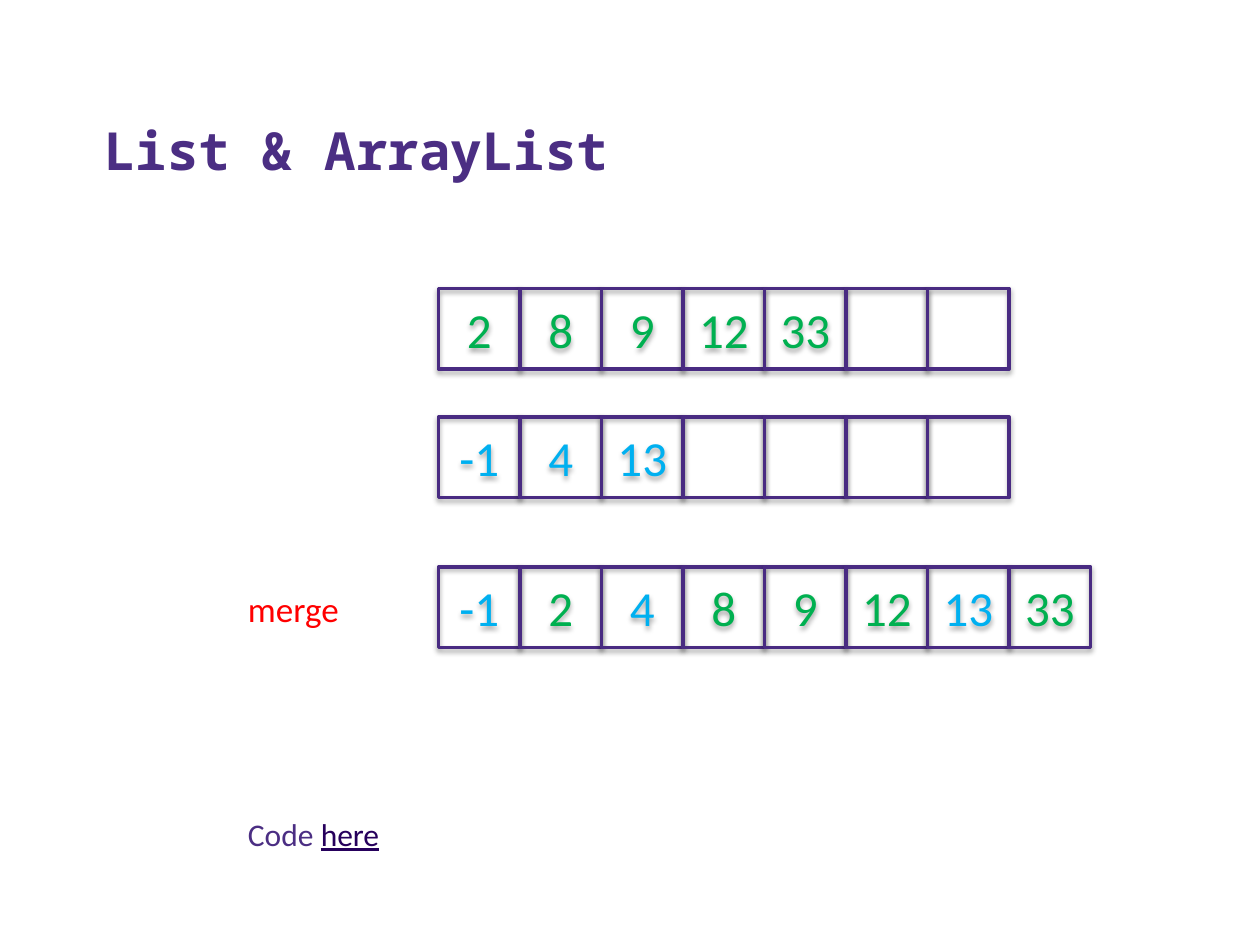
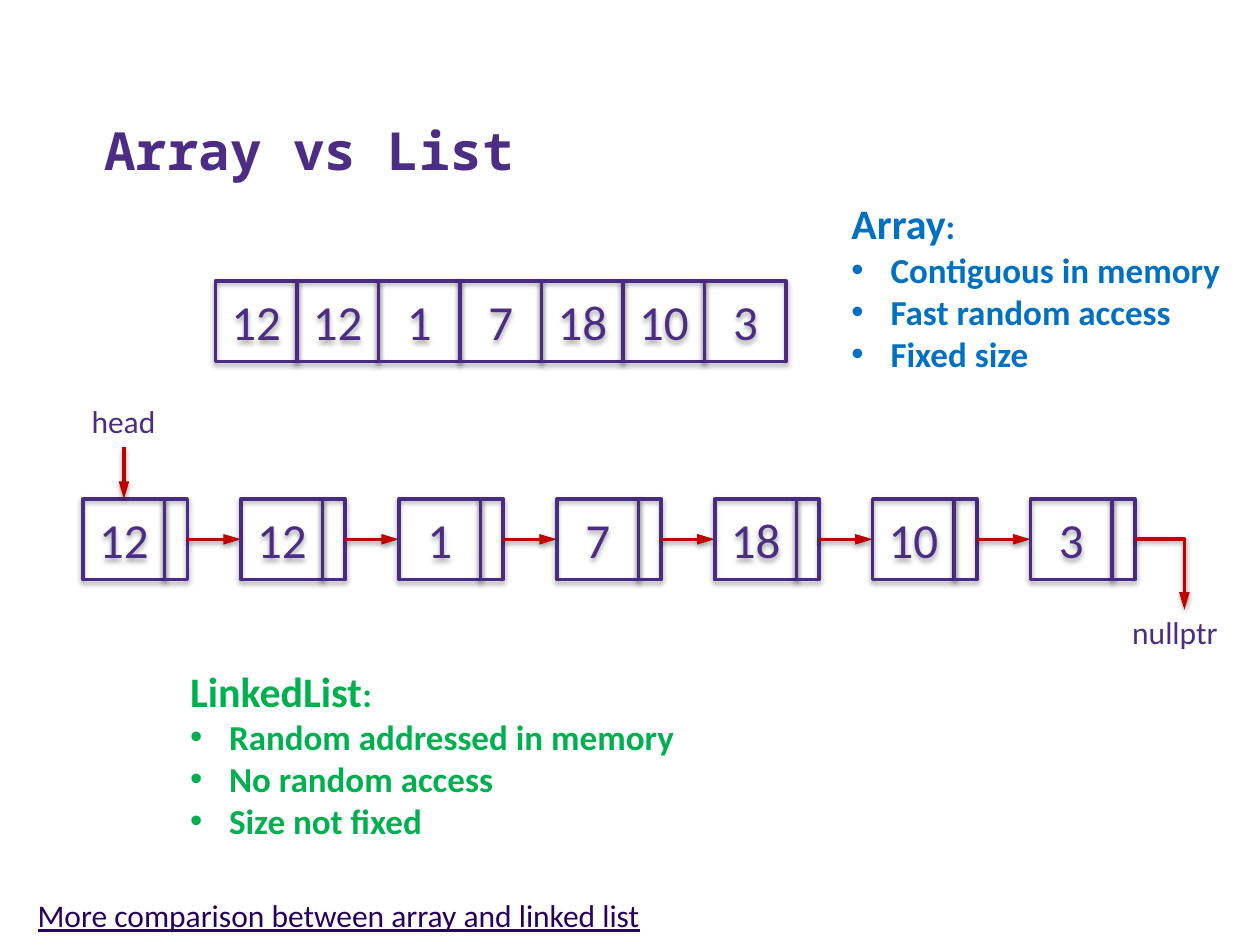
from lxml import etree
from pptx import Presentation
from pptx.dml.color import RGBColor
from pptx.enum.shapes import MSO_CONNECTOR, MSO_SHAPE
from pptx.enum.text import MSO_ANCHOR, PP_ALIGN
from pptx.oxml.ns import qn
from pptx.util import Inches, Pt

RECTANGLE = MSO_SHAPE.RECTANGLE
STRAIGHT, ELBOW = MSO_CONNECTOR.STRAIGHT, MSO_CONNECTOR.ELBOW
LEFT, CENTER = PP_ALIGN.LEFT, PP_ALIGN.CENTER
TOP, MIDDLE, BOTTOM = MSO_ANCHOR.TOP, MSO_ANCHOR.MIDDLE, MSO_ANCHOR.BOTTOM

BODY_FONT, TITLE_FONT = "Calibri", "Noto Sans Mono"
PURPLE, OUTLINE, LINK = "4B2E83", "492B82", "26005C"
GREEN, SKY, BLUE = "00B050", "00B0F0", "0070C0"
RED, ARROW = "FF0000", "C00000"

# Slide 1: two sorted lists and their merge
FIRST_LIST = [2, 8, 9, 12, 33]
SECOND_LIST = [-1, 4, 13]
CAPACITY = 7
LISTS_LEFT = 3.48
FIRST_TOP, SECOND_TOP, MERGED_TOP = 2.29, 3.31, 4.5

# Slide 2: the same values as an array and as a linked list
VALUES = [12, 12, 1, 7, 18, 10, 3]
ARRAY_LEFT, ARRAY_TOP = 1.71, 2.23
NODES_LEFT, NODES_TOP = 0.66, 3.96
NOTES = [
    ("Array", BLUE, (6.66, 1.52, 3.16, 1.51),
     ["Contiguous in memory", "Fast random access", "Fixed size"]),
    ("LinkedList", GREEN, (1.41, 5.23, 4.08, 1.51),
     ["Random addressed in memory", "No random access", "Size not fixed"]),
]

CELL_WIDTH, CELL_HEIGHT = 4.53 / 7, 0.64
POINTER_WIDTH = 0.18
NODE_PITCH = 7.52 / 6
NODE_WIDTH = CELL_WIDTH + POINTER_WIDTH


def rgb(value):
    return RGBColor.from_string(value)


def set_font(font, size, color, name=BODY_FONT, bold=None):
    font.size, font.name, font.bold = Pt(size), name, bold
    font.color.rgb = rgb(color)


def add_shadow(shape, distance, opacity):
    """Give the shape a soft shadow straight below it."""
    effects = etree.SubElement(shape._element.spPr, qn("a:effectLst"))
    shadow = etree.SubElement(effects, qn("a:outerShdw"), blurRad=str(Pt(3.1)),
                              dist=str(Pt(distance)), dir="5400000", rotWithShape="0")
    color = etree.SubElement(shadow, qn("a:srgbClr"), val="000000")
    etree.SubElement(color, qn("a:alpha"), val=str(opacity * 1000))


def add_text_box(page, place, wrap=False, anchor=TOP):
    frame = page.shapes.add_textbox(*map(Inches, place)).text_frame
    frame.word_wrap = wrap
    frame.vertical_anchor = anchor
    return frame


def add_label(page, text, place, size=18, color=PURPLE, align=LEFT, wrap=False):
    para = add_text_box(page, place, wrap).paragraphs[0]
    para.alignment = align
    set_font(para.font, size, color)
    span = para.add_run()
    span.text = text
    return para


def underline_link(span):
    span.font.underline = True
    span.font.color.rgb = rgb(LINK)


def add_page(deck, title):
    page = deck.slides.add_slide(deck.slide_layouts[6])
    para = add_text_box(page, (0.73, 0.41, 8.95, 1.08), True, BOTTOM).paragraphs[0]
    set_font(para.font, 30, PURPLE, TITLE_FONT, True)
    para.add_run().text = title
    return page


def add_cell(page, left, top, width=CELL_WIDTH, text="", color=PURPLE):
    cell = page.shapes.add_shape(RECTANGLE, Inches(left), Inches(top),
                                 Inches(width), Inches(CELL_HEIGHT))
    cell.fill.background()
    cell.line.color.rgb = rgb(OUTLINE)
    cell.line.width = Pt(2)
    add_shadow(cell, 1.8, 35)
    if text:
        cell.text_frame.vertical_anchor = MIDDLE
        para = cell.text_frame.paragraphs[0]
        para.alignment = CENTER
        set_font(para.font, 28, color)
        para.add_run().text = text


def add_row(page, left, top, items, capacity=0):
    """Draw (value, colour) cells side by side, then empty ones up to the capacity."""
    for index in range(max(len(items), capacity)):
        value, color = items[index] if index < len(items) else ("", PURPLE)
        add_cell(page, left + index * CELL_WIDTH, top, text=str(value), color=color)


def add_arrow(page, start, end, kind=STRAIGHT):
    arrow = page.shapes.add_connector(kind, *map(Inches, start + end))
    if kind == ELBOW:
        arrow._element.spPr.find(qn("a:prstGeom")).set("prst", "bentConnector2")
    arrow.line.color.rgb = rgb(ARROW)
    arrow.line.width = Pt(2)
    etree.SubElement(arrow._element.spPr.find(qn("a:ln")), qn("a:tailEnd"),
                     type="triangle", w="med", len="lg")
    add_shadow(arrow, 1.6, 38)


def add_notes_box(page, heading, color, place, points):
    frame = add_text_box(page, place)
    para = frame.paragraphs[0]
    set_font(para.font, 20, color, bold=True)
    span = para.add_run()
    span.text = heading
    span.font.size = Pt(24)
    para.add_run().text = ":"
    for point in points:
        para = frame.add_paragraph()
        properties = para._p.get_or_add_pPr()
        properties.set("marL", str(Inches(0.31)))
        properties.set("indent", str(-Inches(0.31)))
        etree.SubElement(properties, qn("a:buFont"), typeface="Arial")
        etree.SubElement(properties, qn("a:buChar"), char="•")
        set_font(para.font, 20, color, bold=True)
        para.add_run().text = point


def build_merge_page(deck):
    page = add_page(deck, "List & ArrayList")
    first = [(value, GREEN) for value in FIRST_LIST]
    second = [(value, SKY) for value in SECOND_LIST]
    add_row(page, LISTS_LEFT, FIRST_TOP, first, CAPACITY)
    add_row(page, LISTS_LEFT, SECOND_TOP, second, CAPACITY)
    add_row(page, LISTS_LEFT, MERGED_TOP, sorted(first + second))
    add_label(page, "merge", (1.87, 4.61, 0.93, 0.44), 20, RED)
    code = add_label(page, "Code ", (1.87, 6.42, 1.26, 0.4))
    span = code.add_run()
    span.text = "here"
    underline_link(span)


def build_comparison_page(deck):
    page = add_page(deck, "Array vs List")
    add_row(page, ARRAY_LEFT, ARRAY_TOP, [(value, PURPLE) for value in VALUES])

    middle = NODES_TOP + CELL_HEIGHT / 2
    for index, value in enumerate(VALUES):
        left = NODES_LEFT + index * NODE_PITCH
        add_cell(page, left, NODES_TOP, text=str(value))
        add_cell(page, left + CELL_WIDTH, NODES_TOP, POINTER_WIDTH)
        exit_point = (left + NODE_WIDTH, middle)
        if index < len(VALUES) - 1:
            add_arrow(page, exit_point, (left + NODE_PITCH, middle))
        else:
            add_arrow(page, exit_point, (9.4, 4.84), ELBOW)

    head_x = NODES_LEFT + CELL_WIDTH / 2
    add_label(page, "head", (0.57, 3.14, 0.82, 0.4), align=CENTER, wrap=True)
    add_arrow(page, (head_x, 3.55), (head_x, NODES_TOP))
    add_label(page, "nullptr", (8.83, 4.82, 0.99, 0.4), align=CENTER, wrap=True)

    for note in NOTES:
        add_notes_box(page, *note)
    more = add_label(page, "More comparison between array and linked list",
                     (0.2, 7.06, 5.04, 0.4))
    underline_link(more.runs[0])


def main():
    deck = Presentation()
    deck.slide_width, deck.slide_height = Inches(10), Inches(7.5)
    build_merge_page(deck)
    build_comparison_page(deck)
    deck.save("out.pptx")


if __name__ == "__main__":
    main()
